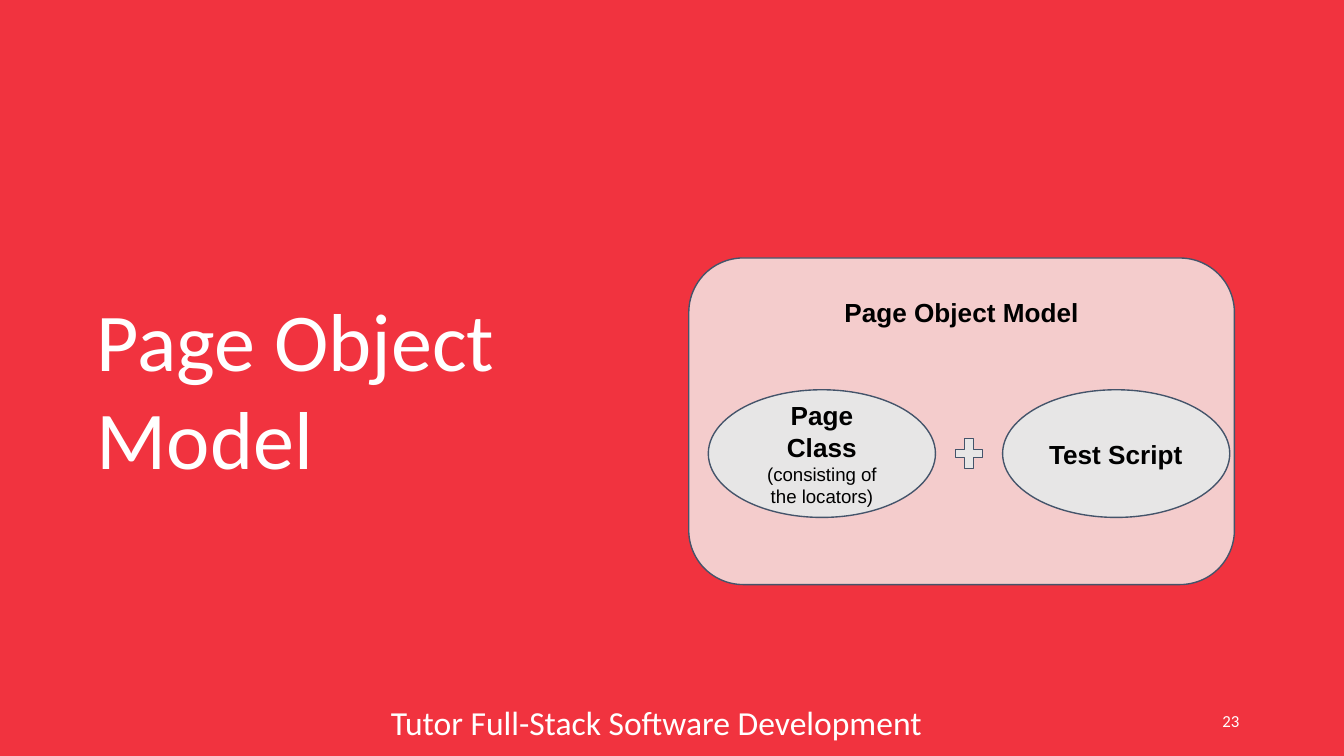
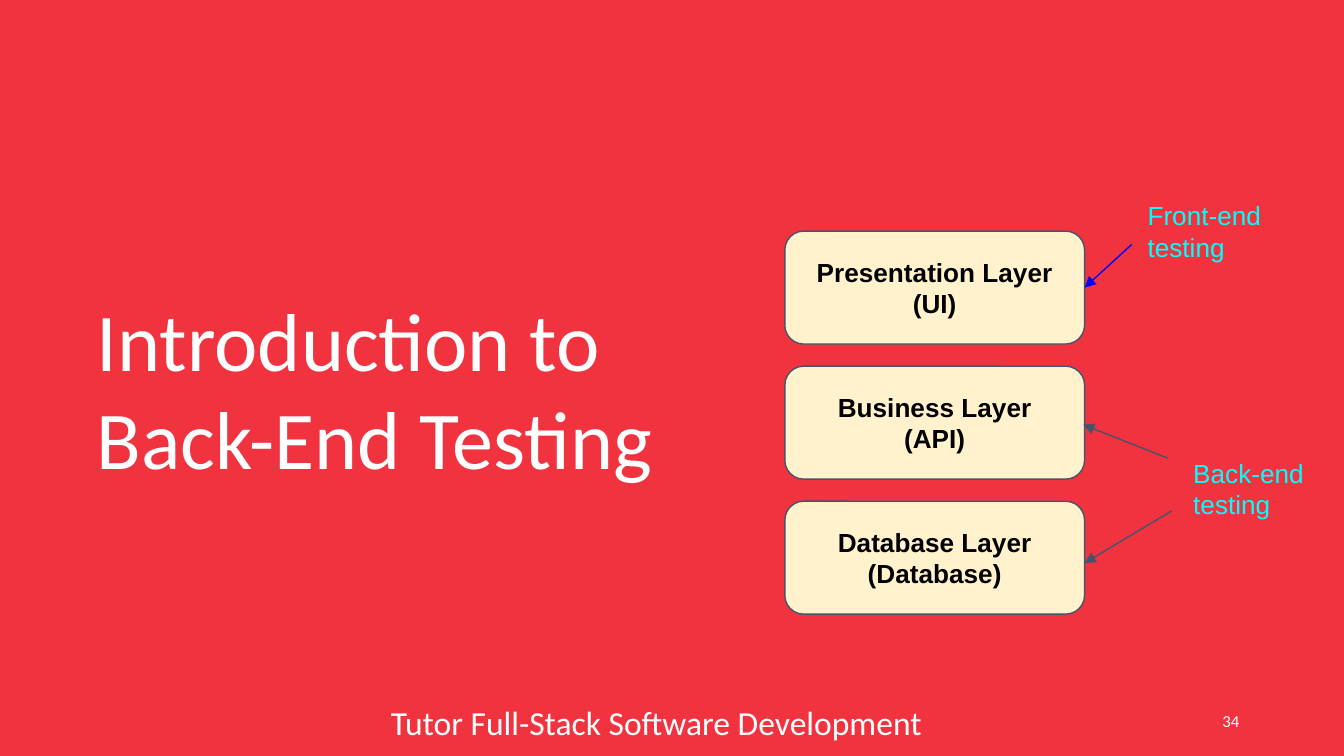
"""Build two section slides on software testing."""
import pptx
import pptx.dml.color
import pptx.enum.shapes
import pptx.enum.text
import pptx.oxml
import pptx.oxml.ns
import pptx.util

PX = 4572
PAGE_WIDTH, PAGE_HEIGHT = 2000, 1125
TITLE_ONLY = 5

RGBColor = pptx.dml.color.RGBColor
RED = RGBColor(0xF1, 0x33, 0x3F)
WHITE = RGBColor(0xFF, 0xFF, 0xFF)
BLACK = RGBColor(0x00, 0x00, 0x00)
SLATE = RGBColor(0x44, 0x54, 0x6A)
PINK = RGBColor(0xF4, 0xCC, 0xCC)
GREY = RGBColor(0xE7, 0xE6, 0xE6)
CREAM = RGBColor(0xFF, 0xF2, 0xCC)
BLUE = RGBColor(0x00, 0x00, 0xFF)
CYAN = RGBColor(0x00, 0xFF, 0xFF)

SHAPES = pptx.enum.shapes.MSO_SHAPE
ANCHOR = pptx.enum.text.MSO_ANCHOR
ALIGN = pptx.enum.text.PP_ALIGN

TITLE_FONT = {"name": "Calibri", "size": 44, "color": WHITE}
FOOTER_FONT = {"name": "Calibri", "size": 18, "color": WHITE}
NUMBER_FONT = {"name": "Calibri", "size": 9, "color": WHITE}
LABEL_FONT = {"name": "Arial", "size": 14, "color": BLACK, "bold": True}
NOTE_FONT = {"name": "Arial", "size": 10, "color": BLACK, "bold": False}
CALLOUT_FONT = {"name": "Arial", "size": 14, "color": CYAN}

FOOTER = "Tutor Full-Stack Software Development"


def scale(*lengths):
    """Turn px lengths into EMU."""
    return [pptx.util.Emu(length * PX) for length in lengths]


def set_font(font, formats):
    """Apply a dict of format values to a font."""
    for name, value in formats.items():
        if name == "color":
            font.color.rgb = value
        else:
            setattr(font, name, pptx.util.Pt(value) if name == "size" else value)


def write(shape, lines, align=ALIGN.LEFT, anchor=ANCHOR.TOP, margin=20):
    """Fill a shape with (text, format) lines."""
    frame = shape.text_frame
    side, edge = scale(20, margin)
    settings = {
        "word_wrap": True,
        "auto_size": pptx.enum.text.MSO_AUTO_SIZE.NONE,
        "vertical_anchor": anchor,
        "margin_left": side,
        "margin_right": side,
        "margin_top": edge,
        "margin_bottom": edge,
    }
    for name, value in settings.items():
        setattr(frame, name, value)
    for index, (text, formats) in enumerate(lines):
        para = frame.add_paragraph() if index else frame.paragraphs[0]
        para.alignment = align
        span = para.add_run()
        span.text = text
        set_font(span.font, formats)


def add_text(page, box, text, formats, **options):
    """Add a text box with one paragraph and return it."""
    shape = page.shapes.add_textbox(*scale(*box))
    write(shape, [(text, formats)], **options)
    return shape


def add_block(page, kind, box, fill):
    """Add an outlined preset shape and return it."""
    shape = page.shapes.add_shape(kind, *scale(*box))
    shape.shadow.inherit = False
    shape.fill.solid()
    shape.fill.fore_color.rgb = fill
    shape.line.color.rgb = SLATE
    shape.line.width = pptx.util.Pt(0.75)
    return shape


def add_arrow(page, start, end, color):
    """Draw a straight arrow pointing at its end."""
    arrow = page.shapes.add_connector(
        pptx.enum.shapes.MSO_CONNECTOR.STRAIGHT, *scale(*start, *end))
    arrow.line.color.rgb = color
    arrow.line.width = pptx.util.Pt(0.75)
    properties = arrow._element.spPr
    tail = pptx.oxml.parse_xml(
        f'<a:tailEnd {pptx.oxml.ns.nsdecls("a")} type="triangle"/>')
    properties.find(pptx.oxml.ns.qn("a:ln")).append(tail)
    properties.append(pptx.oxml.parse_xml(
        f'<a:effectLst {pptx.oxml.ns.nsdecls("a")}/>'))


def add_page(deck, title, title_width, number):
    """Add a section page with its title, footer and number."""
    page = deck.slides.add_slide(deck.slide_layouts[TITLE_ONLY])
    heading = page.shapes.title
    heading.left, heading.top, heading.width, heading.height = scale(
        124, 420, title_width, 286)
    write(heading, [(title, TITLE_FONT)], margin=10)
    add_text(page, (1414, 1042, 450, 60), number, NUMBER_FONT,
             align=ALIGN.RIGHT, anchor=ANCHOR.MIDDLE, margin=10)
    footer = add_text(page, (562, 1042, 894, 60), FOOTER, FOOTER_FONT, margin=10)
    footer.text_frame.paragraphs[0].line_spacing = 0.9
    return page


def draw_page_object_model(page, box):
    """Show a page class plus a test script inside the model panel."""
    left, top, _, _ = box
    panel = add_block(page, SHAPES.ROUNDED_RECTANGLE, box, PINK)
    write(panel, [("Page Object Model", LABEL_FONT)], ALIGN.CENTER, margin=34)
    parts = [
        (29, ALIGN.CENTER, [("Page Class", LABEL_FONT),
                            ("(consisting of the locators)", NOTE_FONT)]),
        (467, ALIGN.LEFT, [("Test Script", LABEL_FONT)]),
    ]
    for offset, align, lines in parts:
        oval = add_block(page, SHAPES.OVAL, (left + offset, top + 196, 338, 190), GREY)
        write(oval, lines, align, ANCHOR.MIDDLE)
    add_block(page, SHAPES.MATH_PLUS, (left + 390, top + 261, 54, 60), GREY)


def draw_testing_layers(page, box):
    """Stack the three layers and point each kind of testing at them."""
    left, top, width, height = box
    layer_height = 168
    layers = [("Presentation Layer", "(UI)"), ("Business Layer", "(API)"),
              ("Database Layer", "(Database)")]
    pitch = (height - layer_height) // (len(layers) - 1)
    for index, names in enumerate(layers):
        layer = add_block(page, SHAPES.ROUNDED_RECTANGLE,
                          (left, top + index * pitch, width, layer_height), CREAM)
        write(layer, [(name, LABEL_FONT) for name in names],
              ALIGN.CENTER, ANCHOR.MIDDLE)
    right = left + width
    for x, y, end_x, end_y, color in [(70, 20, 0, 84, BLUE),
                                      (124, 338, -2, 288, SLATE),
                                      (130, 416, 0, 494, SLATE)]:
        add_arrow(page, (right + x, top + y), (right + end_x, top + end_y), color)
    for text, x, y in [("Front-end testing", 74, -67),
                       ("Back-end testing", 142, 316)]:
        add_text(page, (right + x, top + y, 216, 116), text, CALLOUT_FONT)


def main():
    """Build and save the deck."""
    deck = pptx.Presentation()
    deck.slide_width, deck.slide_height = scale(PAGE_WIDTH, PAGE_HEIGHT)
    backdrop = deck.slide_master.background.fill
    backdrop.solid()
    backdrop.fore_color.rgb = RED
    page = add_page(deck, "Page Object Model", 666, "23")
    draw_page_object_model(page, (1025, 384, 812, 486))
    page = add_page(deck, "Introduction to Back-End Testing", 970, "34")
    draw_testing_layers(page, (1168, 344, 446, 570))
    deck.save("out.pptx")


if __name__ == "__main__":
    main()
